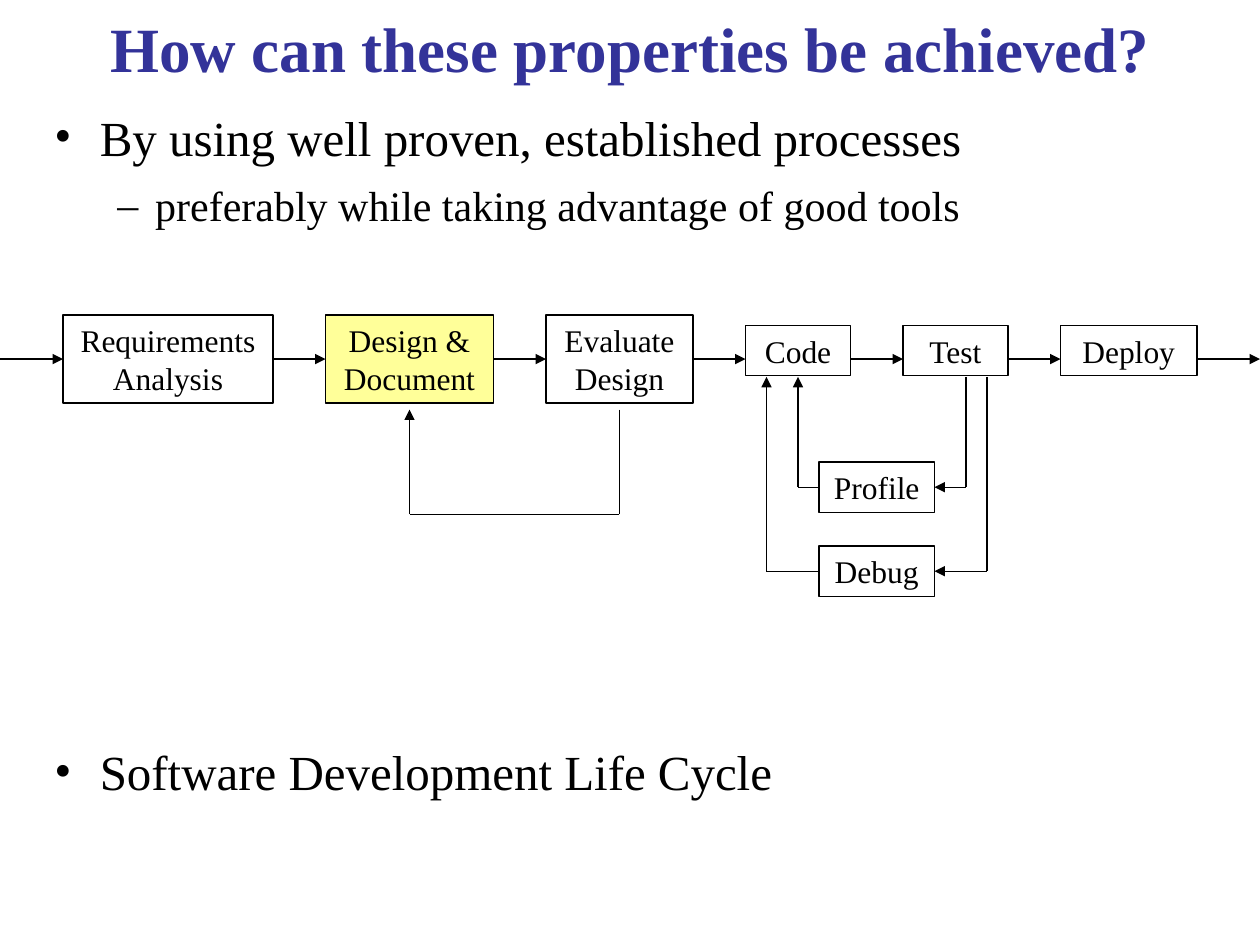
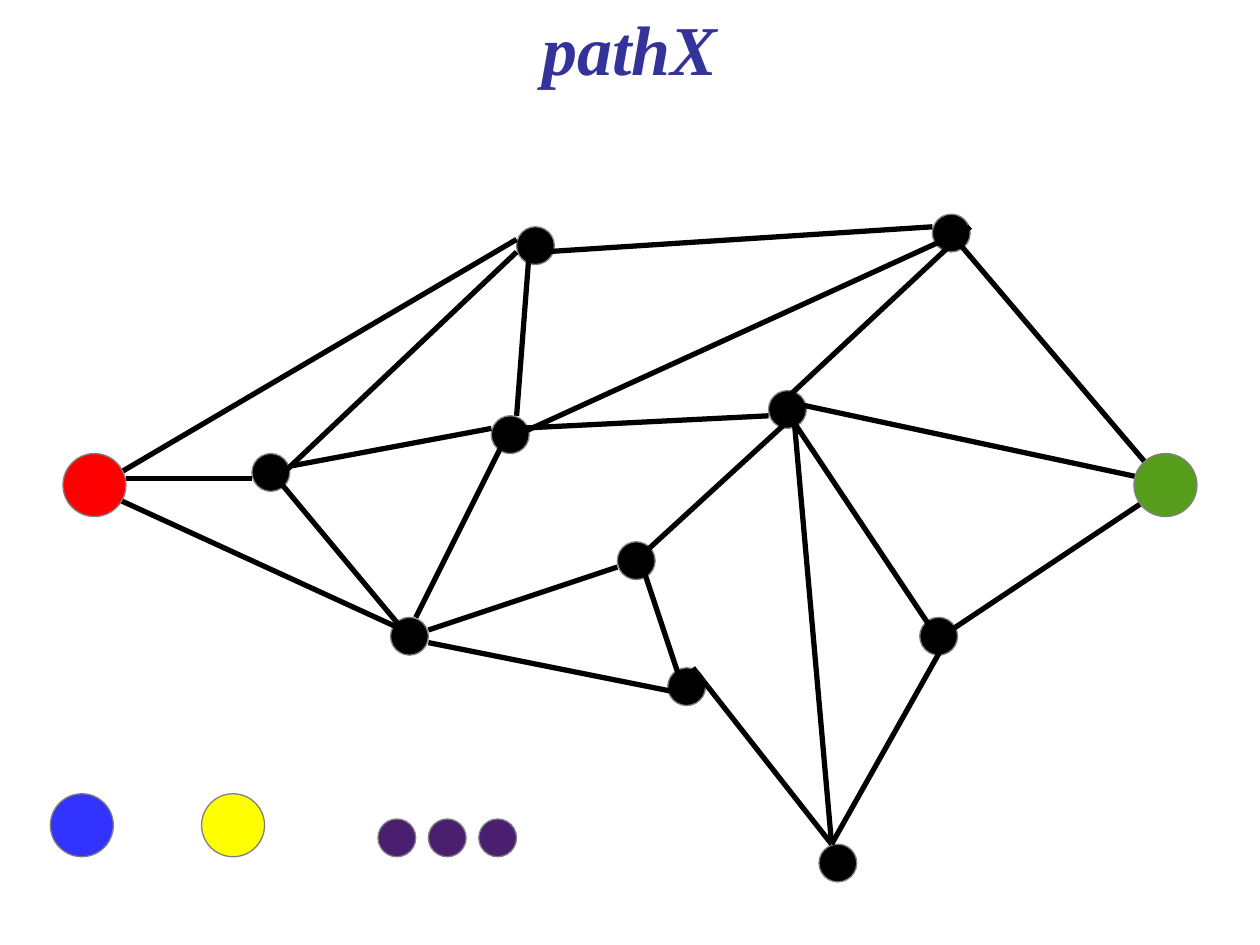
from dataclasses import dataclass
from typing import Any, NamedTuple, Optional

from lxml import etree
from pptx import Presentation, util as u
from pptx.dml.color import RGBColor
from pptx.enum import shapes, text
from pptx.oxml import ns

FONT = "Times New Roman"
BLACK, NAVY, GREY = "000000", "333399", "808080"
YELLOW, GREEN, RED = "FFFF00", "579D1C", "FF0000"
BLUE, PLUM, CREAM = "3333FF", "4B1F6F", "FFFF99"
TOP, LEFT, BOTTOM, RIGHT = range(4)
ALIGN, ANCHOR = text.PP_ALIGN, text.MSO_ANCHOR
RAIL = 34.2


class Step(NamedTuple):
    label: str
    col: float
    row: float
    cols: float
    rows: float = 4.8
    fill: Optional[str] = None


class Disk(NamedTuple):
    col: float
    row: float
    size: float
    fill: str


class Link(NamedTuple):
    x1: float
    y1: float
    x2: float
    y2: float


class Join(NamedTuple):
    shape: Any
    side: int


class Item(NamedTuple):
    label: str
    size: float
    mark: str
    indent: float
    hang: float
    gap: float


@dataclass
class Page:
    slide: Any
    cell: float

    def span(self, *cells: float) -> list[int]:
        return [u.Inches(n * self.cell) for n in cells]


STEPS = [
    Step("Requirements Analysis", 6, 30, 20, 8.4),
    Step("Design & Document", 31, 30, 16, 8.4, CREAM),
    Step("Evaluate Design", 52, 30, 14, 8.4),
    Step("Code", 71, 31, 10),
    Step("Test", 86, 31, 10),
    Step("Deploy", 101, 31, 13),
    Step("Profile", 78, 44, 11),
    Step("Debug", 78, 52, 11),
]
ITEMS = [
    Item("By using well proven, established processes", 28, "•", 0.36, 0.36, 0),
    Item("preferably while taking advantage of good tools", 24, "–", 0.8, 0.3, 8),
    Item("Software Development Life Cycle", 28, "•", 0.36, 0.36, 292),
]
NODES = [
    (20, 36), (31, 49), (61, 31), (53, 53), (73, 49),
    (74, 17), (41, 18), (49, 43), (39, 33), (65, 67),
]
EDGES = [
    Link(10, 38, 20, 38), Link(51, 44, 63, 33), Link(22, 38, 32, 50),
    Link(23, 37, 39, 34), Link(34, 50, 49, 45), Link(41, 34, 61, 33),
    Link(43, 20, 74, 18), Link(55, 53, 66, 67), Link(22, 38, 41, 20),
    Link(40, 35, 75, 19), Link(41, 33, 42, 20), Link(33, 49, 40, 35),
    Link(62, 32, 77, 18), Link(54, 54, 51, 45), Link(34, 51, 54, 55),
    Link(75, 51, 66, 67), Link(63, 33, 66, 67), Link(62, 32, 74, 50),
    Link(75, 18, 92, 38), Link(63, 32, 91, 38), Link(74, 51, 92, 39),
    Link(8, 39, 32, 50), Link(7, 39, 41, 19),
]
DISKS = [
    Disk(90, 36, 5, GREEN), Disk(5, 36, 5, RED),
    Disk(4, 63, 5, BLUE), Disk(16, 63, 5, YELLOW),
    *(Disk(30 + 4 * n, 65, 3, PLUM) for n in range(3)),
]


def ink(code: str) -> RGBColor:
    return RGBColor.from_string(code)


def write(para: Any, label: str, *, size: float, color: str = BLACK,
          bold: bool = False, italic: bool = False,
          align: Any = ALIGN.LEFT, gap: float = 0) -> None:
    para.alignment = align
    para.space_before = u.Pt(gap)
    run = para.add_run()
    run.text = label
    font = run.font
    font.name, font.size = FONT, u.Pt(size)
    font.bold, font.italic = bold, italic
    font.color.rgb = ink(color)


def frame(shape: Any, anchor: Any, side: float = 0.1) -> Any:
    body = shape.text_frame
    body.word_wrap = True
    body.vertical_anchor = anchor
    body.margin_left = body.margin_right = u.Inches(side)
    return body


def bullet(para: Any, item: Item) -> None:
    props = para._p.get_or_add_pPr()
    props.set("marL", str(u.Inches(item.indent)))
    props.set("indent", str(u.Inches(-item.hang)))
    tint = etree.SubElement(props, ns.qn("a:buClr"))
    etree.SubElement(tint, ns.qn("a:srgbClr"), val=BLACK)
    etree.SubElement(props, ns.qn("a:buFont"), typeface=FONT)
    etree.SubElement(props, ns.qn("a:buChar"), char=item.mark)


def title(page: Page, label: str, size: float, italic: bool = False) -> None:
    wide, tall = u.Inches(10), u.Inches(7.5)
    box = page.slide.shapes.add_textbox(
        round(wide / 30), 0, round(wide * 14 / 15), round(tall / 10))
    write(frame(box, ANCHOR.MIDDLE).paragraphs[0], label, size=size,
          color=NAVY, bold=True, italic=italic, align=ALIGN.CENTER)


def solid(page: Page, kind: Any, area: tuple, fill: Optional[str], edge: str) -> Any:
    shape = page.slide.shapes.add_shape(kind, *page.span(*area))
    shape.shadow.inherit = False
    if fill:
        shape.fill.solid()
        shape.fill.fore_color.rgb = ink(fill)
    else:
        shape.fill.background()
    shape.line.color.rgb = ink(edge)
    shape.line.width = u.Pt(0.75)
    return shape


def block(page: Page, step: Step) -> Any:
    area = (step.col, step.row, step.cols, step.rows)
    shape = solid(page, shapes.MSO_SHAPE.RECTANGLE, area, step.fill, BLACK)
    write(frame(shape, ANCHOR.MIDDLE, 0.05).paragraphs[0], step.label,
          size=18, align=ALIGN.CENTER)
    return shape


def disk(page: Page, dot: Disk) -> None:
    area = (dot.col, dot.row, dot.size, dot.size)
    solid(page, shapes.MSO_SHAPE.OVAL, area, dot.fill, GREY)


def line(page: Page, link: Link, width: float = 0.75, arrow: bool = False,
         start: Optional[Join] = None, end: Optional[Join] = None) -> None:
    wire = page.slide.shapes.add_connector(
        shapes.MSO_CONNECTOR.STRAIGHT, *page.span(*link))
    wire.line.color.rgb = ink(BLACK)
    wire.line.width = u.Pt(width)
    props = wire.element.spPr
    if arrow:
        etree.SubElement(props.find(ns.qn("a:ln")), ns.qn("a:tailEnd"), type="triangle")
    etree.SubElement(props, ns.qn("a:effectLst"))
    if start:
        wire.begin_connect(*start)
    if end:
        wire.end_connect(*end)


def flow(page: Page, blocks: list) -> None:
    row = STEPS[:6]
    stops = [0, *(n for s in row for n in (s.col, s.col + s.cols)), 120]
    for n in range(len(row) + 1):
        start = Join(blocks[n - 1], RIGHT) if 1 <= n <= 3 else None
        end = Join(blocks[n], LEFT) if n < 3 else None
        line(page, Link(stops[2 * n], RAIL, stops[2 * n + 1], RAIL),
             arrow=True, start=start, end=end)


def loops(page: Page, blocks: list) -> None:
    for n, back, out in ((6, 76, 92), (7, 73, 94)):
        step, shape = STEPS[n], blocks[n]
        mid, foot = step.row + step.rows / 2, 35.9
        line(page, Link(out, foot, out, mid))
        line(page, Link(out, mid, step.col + step.cols, mid),
             arrow=True, end=Join(shape, RIGHT))
        line(page, Link(step.col, mid, back, mid), start=Join(shape, LEFT))
        line(page, Link(back, mid, back, foot), arrow=True)
    line(page, Link(59, 39, 59, 49))
    line(page, Link(59, 49, 39, 49))
    line(page, Link(39, 49, 39, 39), arrow=True)


def cycle(page: Page) -> None:
    title(page, "How can these properties be achieved?", 36)
    box = page.slide.shapes.add_textbox(*page.span(4, 9.6, 112, 77.4))
    body = frame(box, ANCHOR.TOP)
    for n, item in enumerate(ITEMS):
        para = body.add_paragraph() if n else body.paragraphs[0]
        bullet(para, item)
        write(para, item.label, size=item.size, gap=item.gap)
    blocks = [block(page, step) for step in STEPS]
    flow(page, blocks)
    loops(page, blocks)


def graph(page: Page) -> None:
    title(page, "pathX", 40, italic=True)
    for col, row in NODES:
        disk(page, Disk(col, row, 3, BLACK))
    for edge in EDGES:
        line(page, edge, width=3)
    for dot in DISKS:
        disk(page, dot)


def main() -> None:
    deck = Presentation()
    deck.slide_width, deck.slide_height = u.Inches(10), u.Inches(7.5)
    for draw, cell in ((cycle, 1 / 12), (graph, 1 / 10)):
        draw(Page(deck.slides.add_slide(deck.slide_layouts[6]), cell))
    deck.save("out.pptx")


if __name__ == "__main__":
    main()
